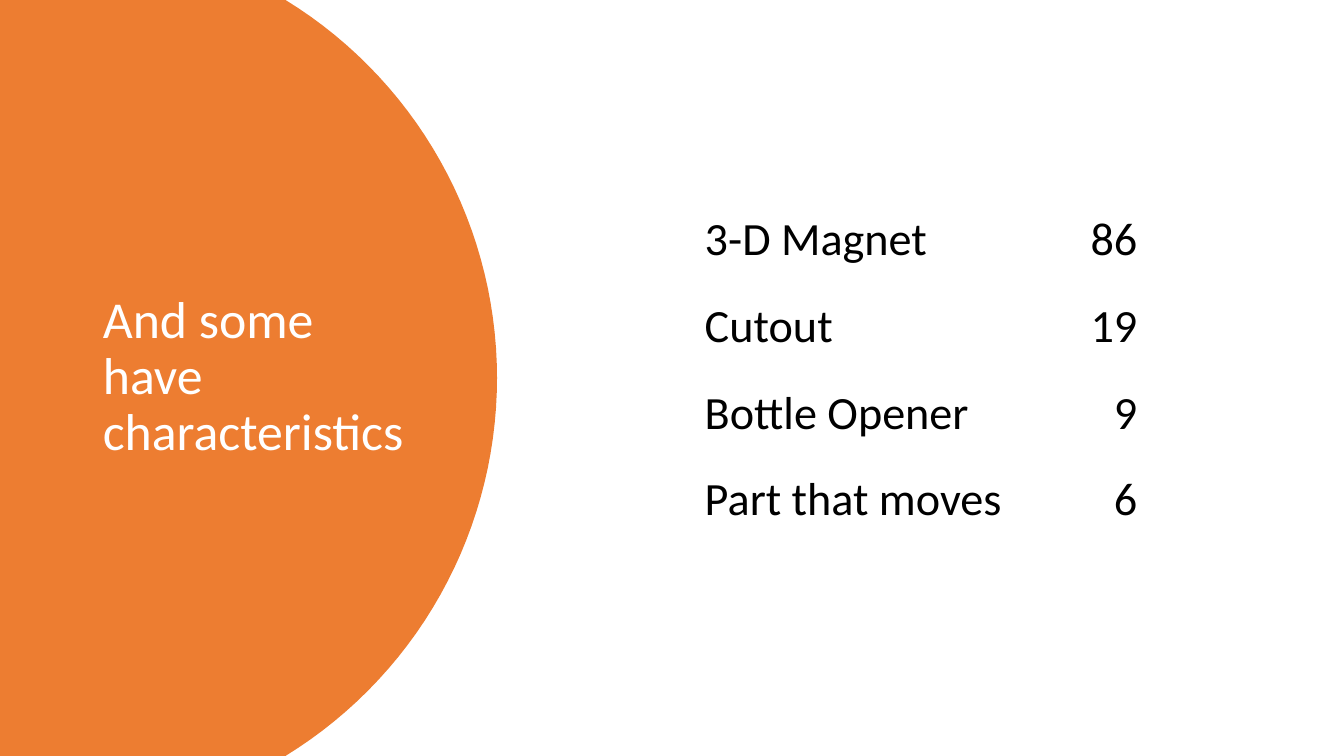
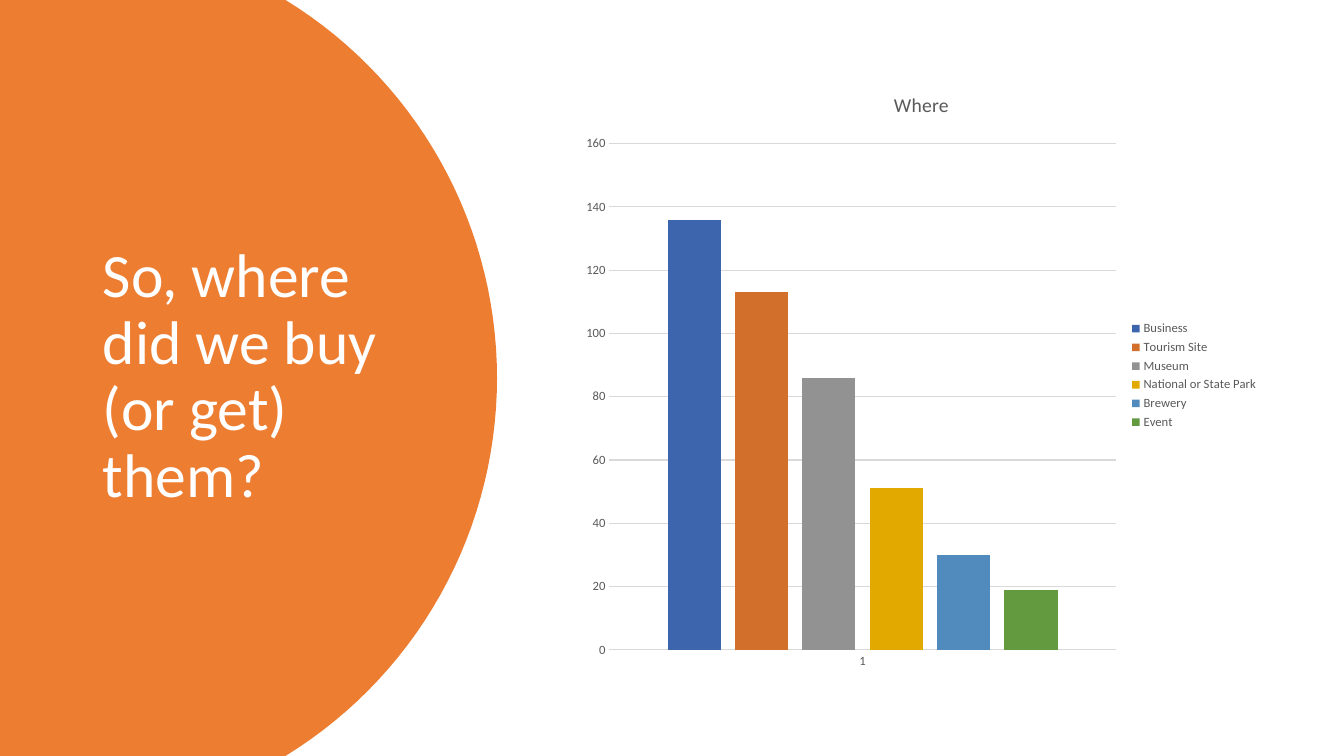
from math import asin, cos, sin

from lxml.etree import SubElement
from pptx import Presentation
from pptx.chart.data import CategoryChartData
from pptx.dml.color import RGBColor
from pptx.enum.chart import XL_CHART_TYPE, XL_LEGEND_POSITION, XL_TICK_MARK
from pptx.enum.text import MSO_ANCHOR, MSO_AUTO_SIZE, PP_ALIGN
from pptx.oxml.ns import qn
from pptx.util import Inches, Pt

WIDTH, HEIGHT = 13.33, 7.5
FONT = "Calibri"
ORANGE, WHITE, BLACK = "ED7D31", "FFFFFF", "000000"
GRAY, RULE = "595959", "D9D9D9"


def color(code):
    return RGBColor.from_string(code)


def style(font, size, code):
    font.name, font.size = FONT, Pt(size)
    font.bold = False
    font.color.rgb = color(code)


class Deck:
    def __init__(self):
        self.prs = Presentation()
        self.prs.slide_width = Inches(WIDTH)
        self.prs.slide_height = Inches(HEIGHT)
        self.slide = None

    def page(self, title, size):
        self.slide = self.prs.slides.add_slide(self.prs.slide_layouts[5])
        self.disc()
        self.title(title, size)

    def disc(self, radius=4.4, center=0.53, steps=60):
        # Circle running off the left, top and bottom edges
        half = asin(HEIGHT / 2 / radius)
        turns = [half * (2 * i / steps - 1) for i in range(steps + 1)]
        arc = [(Inches(center + radius * cos(t)),
                Inches(HEIGHT / 2 + radius * sin(t))) for t in turns]
        arc[0] = (arc[0][0], 0)
        arc[-1] = (arc[-1][0], Inches(HEIGHT))
        path = self.slide.shapes.build_freeform(0, 0)
        path.add_line_segments(arc + [(0, Inches(HEIGHT))])
        shape = path.convert_to_shape()
        shape.shadow.inherit = False
        shape.fill.solid()
        shape.fill.fore_color.rgb = color(ORANGE)
        shape.line.fill.background()
        # Keep the disc behind the title
        self.slide.shapes._spTree.insert(2, shape._element)

    def title(self, text, size):
        box = self.slide.shapes.title
        box.left, box.top = Inches(0.92), Inches(0.7)
        box.width, box.height = Inches(3.23), Inches(6.09)
        frame = box.text_frame
        frame.word_wrap = True
        frame.auto_size = MSO_AUTO_SIZE.NONE
        frame.vertical_anchor = MSO_ANCHOR.MIDDLE
        para = frame.paragraphs[0]
        para.line_spacing = 0.9
        self.run(para, text, size, WHITE)

    def run(self, para, text, size, code, align=PP_ALIGN.LEFT):
        para.alignment = align
        run = para.add_run()
        run.text = text
        style(run.font, size, code)

    def table(self, rows, left, top, widths, height):
        frame = self.slide.shapes.add_table(
            len(rows), len(widths), Inches(left), Inches(top),
            Inches(sum(widths)), Inches(height * len(rows)))
        table = frame.table
        table.first_row = table.horz_banding = False
        for col, width in zip(table.columns, widths):
            col.width = Inches(width)
        for r, row in enumerate(rows):
            table.rows[r].height = Inches(height)
            for c, text in enumerate(row):
                self.cell(table.cell(r, c), text,
                          PP_ALIGN.RIGHT if c else PP_ALIGN.LEFT)

    def cell(self, cell, text, align):
        cell.fill.background()
        cell.vertical_anchor = MSO_ANCHOR.BOTTOM
        cell.margin_left = cell.margin_right = cell.margin_top = Inches(0.02)
        cell.margin_bottom = Inches(0.21)
        self.run(cell.text_frame.paragraphs[0], text, 33, BLACK, align)

    def chart(self, title, series, left, top, width, height):
        data = CategoryChartData()
        data.categories = ["1"]
        for name, value, _ in series:
            data.add_series(name, [value])
        chart = self.slide.shapes.add_chart(
            XL_CHART_TYPE.COLUMN_CLUSTERED, Inches(left), Inches(top),
            Inches(width), Inches(height), data).chart
        style(chart.font, 10, BLACK)
        chart.has_title = True
        para = chart.chart_title.text_frame.paragraphs[0]
        self.run(para, title, 14, GRAY, PP_ALIGN.CENTER)
        chart.chart_title.include_in_layout = False

        # Columns
        plot = chart.plots[0]
        plot.gap_width, plot.overlap = 219, -27
        plot.vary_by_categories = False
        for bar, (_, _, code) in zip(plot.series, series):
            bar.format.fill.solid()
            bar.format.fill.fore_color.rgb = color(code)

        # Axes and legend
        base, scale = chart.category_axis, chart.value_axis
        for axis in (base, scale):
            axis.major_tick_mark = axis.minor_tick_mark = XL_TICK_MARK.NONE
            style(axis.tick_labels.font, 9, GRAY)
        scale.minimum_scale, scale.maximum_scale = 0, 160
        scale.major_unit = 20
        scale.format.line.fill.background()
        for line in (base.format.line, scale.major_gridlines.format.line):
            line.color.rgb = color(RULE)
            line.width = Pt(0.75)
        chart.has_legend = True
        chart.legend.position = XL_LEGEND_POSITION.RIGHT
        chart.legend.include_in_layout = False
        style(chart.legend.font, 9, GRAY)
        self.area(chart, x=0.05, y=0.12, w=0.73, h=0.83)

    def area(self, chart, **parts):
        # Fix the inner plot area, as fractions of the chart
        plot = chart._chartSpace.chart.plotArea
        for old in plot.findall(qn("c:layout")):
            plot.remove(old)
        layout = SubElement(plot, qn("c:layout"))
        plot.insert(0, layout)
        manual = SubElement(layout, qn("c:manualLayout"))
        marks = {"layoutTarget": "inner", "xMode": "edge", "yMode": "edge"}
        for name, value in {**marks, **parts}.items():
            SubElement(manual, qn("c:" + name)).set("val", str(value))


def main():
    deck = Deck()

    # Characteristics
    deck.page("And some have characteristics", 37)
    deck.table([("3-D Magnet", "86"), ("Cutout", "19"),
                ("Bottle Opener", "9"), ("Part that moves", "6")],
               6.97, 2.01, (3.52, 0.81), 0.86)

    # Places
    deck.page("So, where did we buy (or get) them?", 44)
    deck.chart("Where", [
        ("Business", 136, "3C65AE"),
        ("Tourism Site", 113, "D26F2B"),
        ("Museum", 86, "929292"),
        ("National or State Park", 51, "E2AA00"),
        ("Brewery", 30, "518ABD"),
        ("Event", 19, "639A3F"),
    ], 5.7, 0.7, 6.88, 6.05)

    deck.prs.save("out.pptx")


if __name__ == "__main__":
    main()
